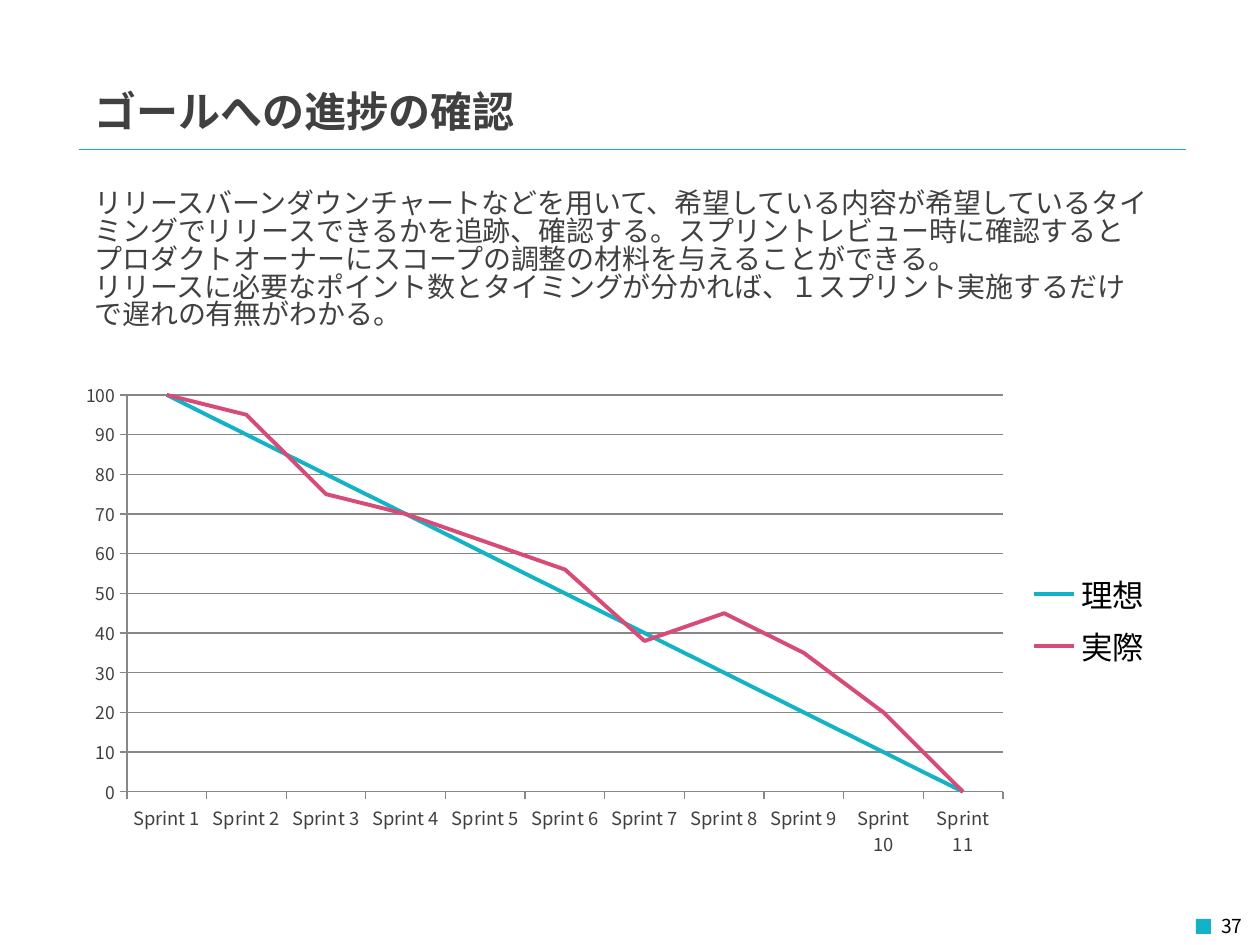
import dataclasses
import typing

import lxml.etree
import pptx
import pptx.chart.data
import pptx.dml.color
import pptx.enum.chart
import pptx.enum.shapes
import pptx.enum.text
import pptx.oxml.ns
import pptx.util

EMU_PER_PX = 914400 / 126


@dataclasses.dataclass(frozen=True)
class Theme:
    font: str = "Noto Sans CJK JP"
    chart_font: str = "Noto Sans CJK KR"
    ink: str = "404040"
    black: str = "000000"
    teal: str = "12B3C7"
    pink: str = "D74C77"
    axis: str = "878787"
    title_size: float = 24
    body_size: float = 16
    legend_size: float = 18
    category_size: float = 10.5
    value_size: float = 10
    page_size: float = 11
    rule_width: float = 0.25
    axis_width: float = 0.75
    series_width: float = 2.25


@dataclasses.dataclass(frozen=True)
class Frame:
    left: int
    top: int
    width: int
    height: int

    def emu(self) -> list[int]:
        return [px(value) for value in dataclasses.astuple(self)]


@dataclasses.dataclass(frozen=True)
class TextBlock:
    frame: Frame
    paragraphs: tuple[str, ...]
    size: float
    color: str
    box_format: dict[str, typing.Any] = dataclasses.field(default_factory=dict)
    paragraph_format: dict[str, typing.Any] = dataclasses.field(default_factory=dict)
    bold: bool = False


@dataclasses.dataclass(frozen=True)
class Series:
    name: str
    values: tuple[int, ...]
    color: str


THEME = Theme()


def px(value: int) -> int:
    return round(value * EMU_PER_PX)


def rgb(color: str) -> pptx.dml.color.RGBColor:
    return pptx.dml.color.RGBColor.from_string(color)


def set_format(target: typing.Any, values: dict[str, typing.Any]) -> None:
    for name, value in values.items():
        setattr(target, name, value)


def set_font(font: typing.Any, name: str, size: float, color: str, bold: bool = False) -> None:
    font.color.rgb = rgb(color)
    set_format(font, {"name": name, "size": pptx.util.Pt(size), "bold": bold})
    east_asian = lxml.etree.SubElement(font._element, pptx.oxml.ns.qn("a:ea"))
    east_asian.set("typeface", name)


def set_line(line: typing.Any, color: str, width: float) -> None:
    line.color.rgb = rgb(color)
    line.width = pptx.util.Pt(width)


def draw_text(slide: typing.Any, block: TextBlock) -> None:
    box = slide.shapes.add_textbox(*block.frame.emu()).text_frame
    set_format(box, {"word_wrap": True, **block.box_format})
    for index, text in enumerate(block.paragraphs):
        para = box.paragraphs[0] if index == 0 else box.add_paragraph()
        set_format(para, block.paragraph_format)
        span = para.add_run()
        span.text = text
        set_font(span.font, THEME.font, block.size, block.color, block.bold)


def draw_rule(slide: typing.Any, left: int, right: int, top: int) -> None:
    rule = slide.shapes.add_connector(
        pptx.enum.shapes.MSO_CONNECTOR.STRAIGHT, px(left), px(top), px(right), px(top)
    )
    set_line(rule.line, THEME.teal, THEME.rule_width)
    lxml.etree.SubElement(rule._element.spPr, pptx.oxml.ns.qn("a:effectLst"))


def draw_square(slide: typing.Any, frame: Frame) -> None:
    square = slide.shapes.add_shape(pptx.enum.shapes.MSO_SHAPE.RECTANGLE, *frame.emu())
    square.shadow.inherit = False
    square.fill.solid()
    square.fill.fore_color.rgb = rgb(THEME.teal)
    square.line.fill.background()


def place_plot(chart: typing.Any, frame: Frame, plot: Frame) -> None:
    qn = pptx.oxml.ns.qn
    area = chart._chartSpace.chart.plotArea
    for old in area.findall(qn("c:layout")):
        area.remove(old)
    layout = lxml.etree.Element(qn("c:layout"))
    manual = lxml.etree.SubElement(layout, qn("c:manualLayout"))
    settings = {
        "layoutTarget": "inner",
        "xMode": "edge",
        "yMode": "edge",
        "x": (plot.left - frame.left) / frame.width,
        "y": (plot.top - frame.top) / frame.height,
        "w": plot.width / frame.width,
        "h": plot.height / frame.height,
    }
    for name, value in settings.items():
        lxml.etree.SubElement(manual, qn(f"c:{name}")).set("val", str(value))
    area.insert(0, layout)


def draw_burndown(
    slide: typing.Any, frame: Frame, plot: Frame, categories: list[str], lines: list[Series]
) -> None:
    data = pptx.chart.data.CategoryChartData()
    data.categories = categories
    for line in lines:
        data.add_series(line.name, line.values)
    chart = slide.shapes.add_chart(
        pptx.enum.chart.XL_CHART_TYPE.LINE, *frame.emu(), data
    ).chart
    set_format(chart, {"has_title": False, "has_legend": True})
    set_font(chart.font, THEME.chart_font, THEME.legend_size, THEME.black)
    set_format(
        chart.legend,
        {"position": pptx.enum.chart.XL_LEGEND_POSITION.RIGHT, "include_in_layout": False},
    )
    set_font(chart.legend.font, THEME.chart_font, THEME.legend_size, THEME.black)
    chart.plots[0].vary_by_categories = False
    for drawn, line in zip(chart.plots[0].series, lines):
        drawn.smooth = False
        drawn.marker.style = pptx.enum.chart.XL_MARKER_STYLE.NONE
        set_line(drawn.format.line, line.color, THEME.series_width)
    value_range = {"minimum_scale": 0, "maximum_scale": 100, "major_unit": 10}
    set_format(chart.value_axis, {"has_major_gridlines": True, **value_range})
    set_line(chart.value_axis.major_gridlines.format.line, THEME.axis, THEME.axis_width)
    for axis, size in (
        (chart.category_axis, THEME.category_size),
        (chart.value_axis, THEME.value_size),
    ):
        axis.major_tick_mark = pptx.enum.chart.XL_TICK_MARK.OUTSIDE
        set_line(axis.format.line, THEME.axis, THEME.axis_width)
        set_font(axis.tick_labels.font, THEME.chart_font, size, THEME.ink)
    place_plot(chart, frame, plot)


def main() -> None:
    deck = pptx.Presentation()
    set_format(deck, {"slide_width": px(1260), "slide_height": px(945)})
    page = deck.slides.add_slide(deck.slide_layouts[6])
    draw_rule(page, 79, 1186, 149)
    draw_square(page, Frame(1196, 919, 15, 15))
    blocks = [
        TextBlock(Frame(1080, 907, 175, 38), ("37",), THEME.page_size, THEME.black,
                  {"vertical_anchor": pptx.enum.text.MSO_ANCHOR.MIDDLE},
                  {"alignment": pptx.enum.text.PP_ALIGN.RIGHT}),
        TextBlock(Frame(82, 86, 804, 49), ("ゴールへの進捗の確認",), THEME.title_size, THEME.ink,
                  {"margin_top": 0, "margin_bottom": 0}, bold=True),
        TextBlock(Frame(82, 185, 1081, 217), (
            "リリースバーンダウンチャートなどを用いて、希望している内容が希望しているタイミングでリリースできるかを追跡、確認する。"
            "スプリントレビュー時に確認するとプロダクトオーナーにスコープの調整の材料を与えることができる。",
            "リリースに必要なポイント数とタイミングが分かれば、１スプリント実施するだけで遅れの有無がわかる。",
        ), THEME.body_size, THEME.ink, paragraph_format={"line_spacing": 0.83}),
    ]
    draw_burndown(
        page, Frame(64, 373, 1101, 494), Frame(127, 395, 876, 397),
        [f"Sprint {number}" for number in range(1, 12)],
        [
            Series("理想", tuple(range(100, -1, -10)), THEME.teal),
            Series("実際", (100, 95, 75, 70, 63, 56, 38, 45, 35, 20, 0), THEME.pink),
        ],
    )
    for block in blocks:
        draw_text(page, block)
    deck.save("out.pptx")


if __name__ == "__main__":
    main()
